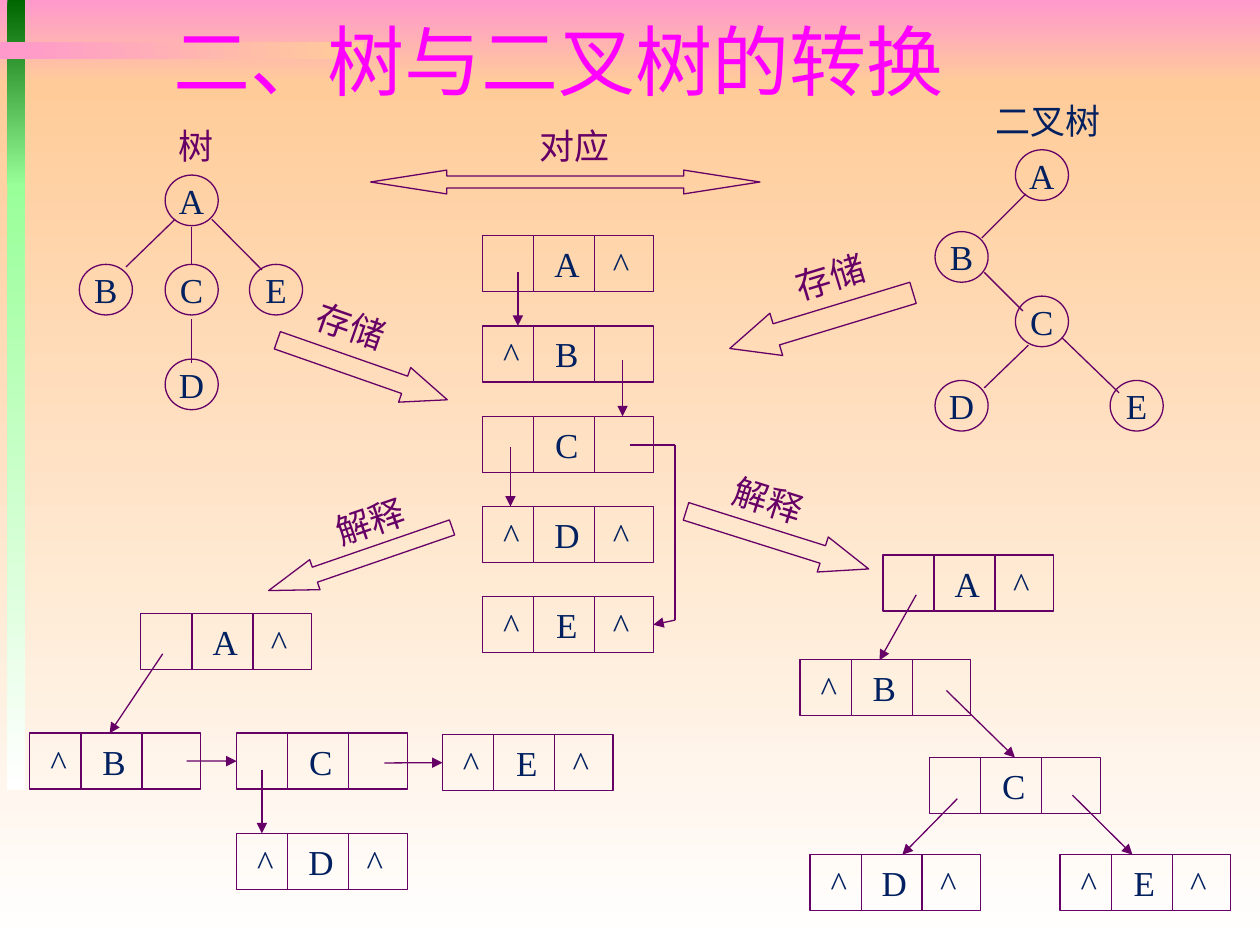
from dataclasses import dataclass

from lxml import etree
from pptx import Presentation
from pptx.dml.color import RGBColor
from pptx.enum.shapes import MSO_CONNECTOR, MSO_SHAPE as Preset
from pptx.enum.text import MSO_ANCHOR as Anchor, PP_ALIGN as Align
from pptx.oxml.ns import qn
from pptx.util import Cm, Pt

COLORS = {
    "pink": "FF99CC", "peach": "FFCC99", "white": "FFFFFF",
    "green": "006600", "mint": "99FF99",
    "purple": "660066", "navy": "002060", "magenta": "FF00FF",
}
SERIF = "Times New Roman"
NODE_WIDTH, NODE_HEIGHT = 1.07, 1.02
RECORD_WIDTH, RECORD_HEIGHT = 3.44, 1.13
DIVIDERS = (1.03, 2.26)
CELL_CENTERS = (0.58, 1.70, 2.79)
LABEL_HEIGHT = 1.09
TOP, LEFT, RIGHT = 0, 1, 3


@dataclass
class Band:
    left: float
    top: float
    width: float
    height: float
    start: str
    end: str
    angle: int = 270


@dataclass
class Node:
    text: str
    left: float
    top: float


@dataclass
class Record:
    left: float
    top: float
    cells: tuple


@dataclass
class Link:
    x1: float
    y1: float
    x2: float
    y2: float
    head: bool = True
    target: int = -1  # index of the record the link is joined to
    side: int = TOP


@dataclass
class Label:
    text: str
    left: float
    top: float
    width: float = 1.93
    color: str = "purple"


@dataclass
class BlockArrow:
    preset: Preset
    box: tuple
    rotation: float
    head_ratio: float
    label: Label


BANDS = [
    Band(0, 0, 25.4, 1.7, "pink", "peach"),
    Band(0, 1.7, 25.4, 17.35, "peach", "white"),
    Band(0.15, 0, 0.36, 3.76, "green", "mint"),
    Band(0.15, 3.71, 0.36, 12.22, "mint", "white"),
    Band(0, 0.84, 7.34, 0.36, "pink", "peach", 0),
]
NODES = [
    # Tree
    Node("A", 3.33, 3.53), Node("C", 3.33, 5.33), Node("B", 1.6, 5.33),
    Node("E", 5.03, 5.33), Node("D", 3.33, 7.24),
    # Binary tree
    Node("A", 20.47, 3.02), Node("B", 18.85, 4.67), Node("C", 20.47, 5.97),
    Node("D", 18.85, 7.67), Node("E", 22.38, 7.67),
]
EDGES = [
    (3.86, 4.57, 3.86, 5.33), (3.86, 6.43, 3.86, 7.32),
    (3.53, 4.42, 2.54, 5.38), (4.27, 4.42, 5.28, 5.44),
    (20.68, 3.91, 19.79, 4.8), (19.84, 5.49, 20.62, 6.27),
    (21.41, 6.81, 22.56, 7.92), (20.73, 6.96, 19.84, 7.82),
]
# Every storage diagram holds the same five records, A to E
CONTENTS = [("", "A", "^"), ("^", "B", ""), ("", "C", ""), ("^", "D", "^"), ("^", "E", "^")]
STORAGES = [
    ([(9.73, 4.75 + 1.82 * row) for row in range(5)], [
        Link(10.44, 5.49, 10.44, 6.57), Link(12.55, 7.26, 12.55, 8.39),
        Link(10.29, 9.02, 10.29, 10.21),
        Link(12.7, 8.97, 13.61, 8.97, head=False),
        Link(13.61, 8.97, 13.61, 12.5, head=False),
        Link(13.61, 12.5, 13.17, 12.6, target=4, side=RIGHT)]),
    ([(2.84, 12.37), (0.6, 14.78), (4.77, 14.78), (4.77, 16.8), (8.92, 14.81)], [
        Link(3.28, 13.18, 2.21, 14.78),
        Link(3.76, 15.34, 4.77, 15.34, target=2, side=LEFT),
        Link(7.75, 15.38, 8.92, 15.38, target=4, side=LEFT),
        Link(5.28, 15.52, 5.28, 16.8)]),
    ([(17.8, 11.19), (16.13, 13.3), (18.74, 15.27), (16.33, 17.23), (21.37, 17.23)], [
        Link(18.47, 11.99, 17.73, 13.31),
        Link(19.08, 13.92, 20.46, 15.27, target=2, side=TOP),
        Link(19.3, 16.1, 18.19, 17.23), Link(21.62, 16.03, 22.83, 17.23)]),
]
HEADINGS = [Label("树", 3.35, 2.39, 1.22), Label("二叉树", 19.81, 1.88, 2.62, "navy")]
BLOCK_ARROWS = [
    BlockArrow(Preset.LEFT_RIGHT_ARROW, (7.47, 3.43, 7.85, 0.48), 0, 3.2,
               Label("对应", 10.62, 2.39)),
    BlockArrow(Preset.RIGHT_ARROW, (5.49, 7.09, 3.63, 0.74), 19.3, 1.23,
               Label("存储", 6.12, 6.02)),
    BlockArrow(Preset.LEFT_ARROW, (14.63, 6.02, 3.86, 0.89), -16.9, 1.1,
               Label("存储", 15.77, 5.03)),
    BlockArrow(Preset.LEFT_ARROW, (5.31, 10.95, 3.91, 0.64), -19, 1.54,
               Label("解释", 6.5, 9.96)),
    BlockArrow(Preset.RIGHT_ARROW, (13.74, 10.52, 3.86, 0.74), 17.5, 1.31,
               Label("解释", 14.53, 9.53)),
]


def rgb(name: str) -> RGBColor:
    return RGBColor.from_string(COLORS[name])


def add_outline(slide, preset: Preset, *box: float):
    shape = slide.shapes.add_shape(preset, *map(Cm, box))
    shape.shadow.inherit = False
    shape.fill.background()
    shape.line.color.rgb = rgb("purple")
    shape.line.width = Pt(0.75)
    return shape


def write(shape, text: str, color: str = "navy", align=Align.CENTER, wrap: bool = False):
    frame = shape.text_frame
    frame.word_wrap = wrap
    frame.vertical_anchor = Anchor.MIDDLE
    frame.margin_left = frame.margin_right = frame.margin_top = frame.margin_bottom = 0
    paragraph = frame.paragraphs[0]
    paragraph.text = text
    paragraph.alignment = align
    paragraph.font.size = Pt(20)
    paragraph.font.name = SERIF
    paragraph.font.color.rgb = rgb(color)
    return paragraph


def add_band(slide, band: Band) -> None:
    shape = add_outline(slide, Preset.RECTANGLE, band.left, band.top, band.width, band.height)
    shape.line.fill.background()
    shape.fill.gradient()
    shape.fill.gradient_angle = band.angle
    for stop, color in zip(shape.fill.gradient_stops, (band.start, band.end)):
        stop.color.rgb = rgb(color)


def add_line(slide, *ends: float, head: bool = False):
    line = slide.shapes.add_connector(MSO_CONNECTOR.STRAIGHT, *map(Cm, ends))
    line.line.color.rgb = rgb("purple")
    line.line.width = Pt(0.75)
    if head:
        etree.SubElement(line.line._get_or_add_ln(), qn("a:tailEnd"), type="triangle")
    etree.SubElement(line._element.spPr, qn("a:effectLst"))
    return line


def add_record(slide, record: Record):
    shape = add_outline(slide, Preset.RECTANGLE, record.left, record.top,
                        RECORD_WIDTH, RECORD_HEIGHT)
    # One centred tab stop per cell
    text = "".join("\t" + cell for cell in record.cells).rstrip("\t")
    paragraph = write(shape, text, align=Align.LEFT, wrap=True)
    tabs = etree.Element(qn("a:tabLst"))
    for center in CELL_CENTERS:
        etree.SubElement(tabs, qn("a:tab"), pos=str(Cm(center)), algn="ctr")
    paragraph._p.pPr.find(qn("a:defRPr")).addprevious(tabs)
    for offset in DIVIDERS:
        x = record.left + offset
        add_line(slide, x, record.top, x, record.top + RECORD_HEIGHT)
    return shape


def add_label(slide, label: Label, rotation: float = 0) -> None:
    box = slide.shapes.add_textbox(*map(Cm, (label.left, label.top, label.width, LABEL_HEIGHT)))
    box.rotation = rotation
    write(box, label.text, label.color)


def add_block_arrow(slide, arrow: BlockArrow) -> None:
    shape = add_outline(slide, arrow.preset, *arrow.box)
    shape.rotation = arrow.rotation
    shape.adjustments[0] = 0.5
    shape.adjustments[1] = arrow.head_ratio
    add_label(slide, arrow.label, arrow.rotation)


def add_title(slide) -> None:
    frame = slide.shapes.add_textbox(Cm(1.98), Cm(0.36), Cm(23.62), Cm(2.34)).text_frame
    frame.word_wrap = True
    frame.margin_left = Cm(1.52)
    paragraph = frame.paragraphs[0]
    paragraph.line_spacing = 0.9
    paragraph.font.size = Pt(44)
    paragraph.font.color.rgb = rgb("magenta")
    for text, font in (("二、", "Noto Sans CJK SC"), ("树与二叉树的转换", "Arial")):
        run = paragraph.add_run()
        run.text = text
        run.font.name = font


def main() -> None:
    presentation = Presentation()
    presentation.slide_width, presentation.slide_height = Cm(25.4), Cm(19.05)
    slide = presentation.slides.add_slide(presentation.slide_layouts[6])
    # Background and title
    for band in BANDS:
        add_band(slide, band)
    add_title(slide)
    # Both trees
    for node in NODES:
        write(add_outline(slide, Preset.OVAL, node.left, node.top, NODE_WIDTH, NODE_HEIGHT),
              node.text)
    for edge in EDGES:
        add_line(slide, *edge)
    for heading in HEADINGS:
        add_label(slide, heading)
    # Linked records
    for places, links in STORAGES:
        records = [add_record(slide, Record(*place, cells))
                   for place, cells in zip(places, CONTENTS)]
        for link in links:
            line = add_line(slide, link.x1, link.y1, link.x2, link.y2, head=link.head)
            if link.target >= 0:
                line.end_connect(records[link.target], link.side)
    # Block arrows with their captions
    for arrow in BLOCK_ARROWS:
        add_block_arrow(slide, arrow)
    presentation.save("out.pptx")


if __name__ == "__main__":
    main()
